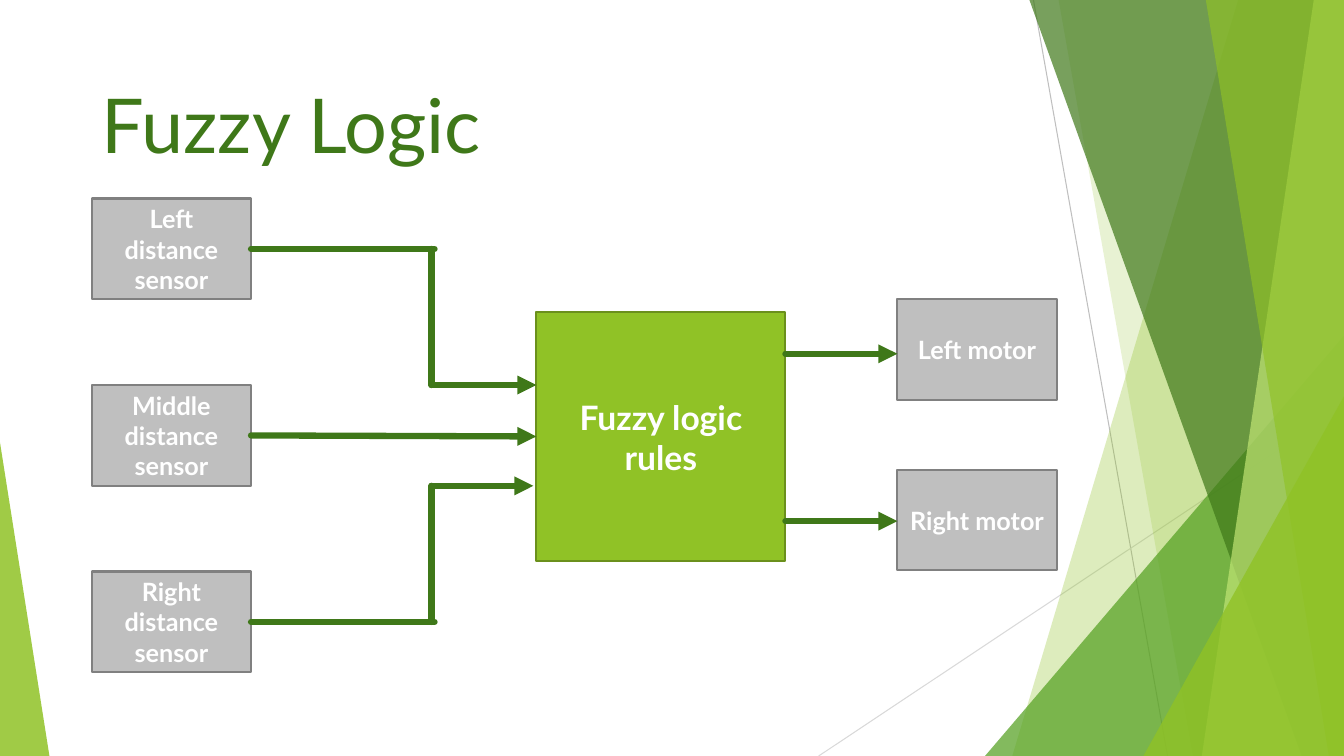
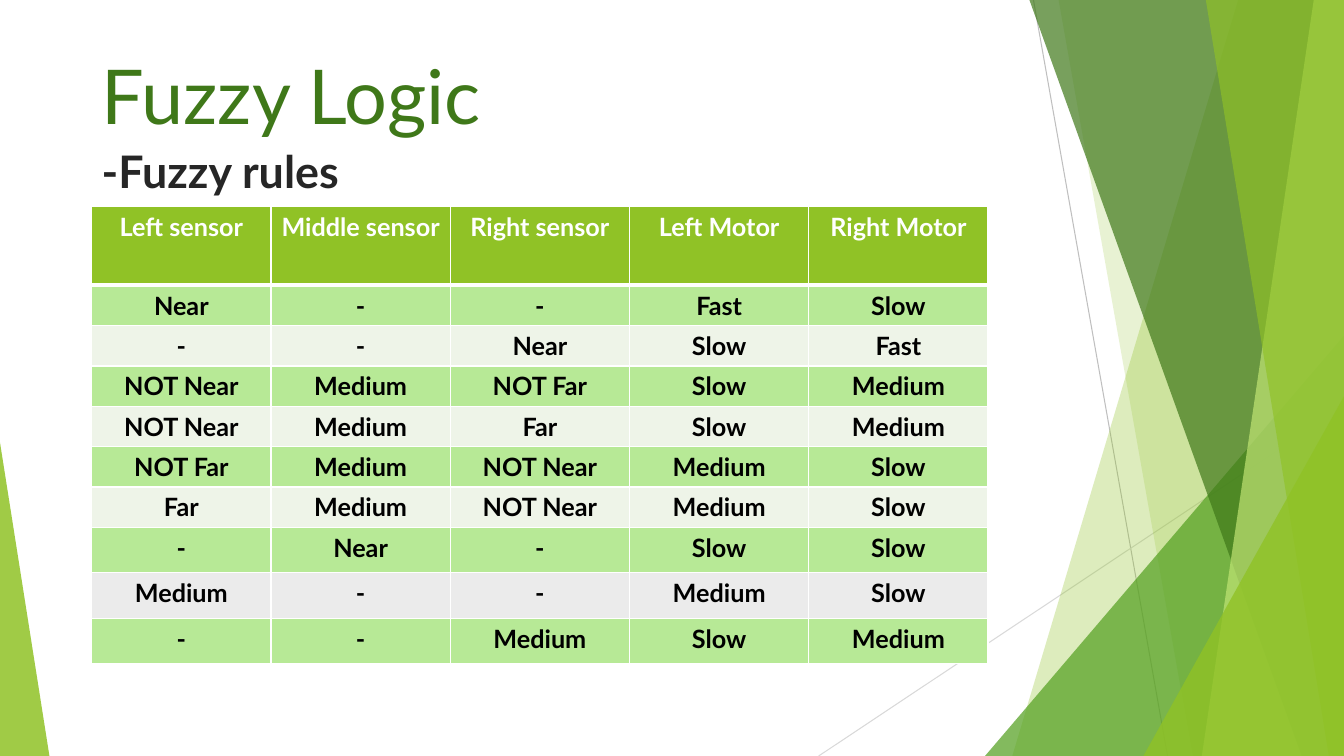
from lxml import etree
from pptx import Presentation
from pptx.dml.color import RGBColor
from pptx.enum.shapes import MSO_CONNECTOR, MSO_SHAPE
from pptx.enum.text import MSO_ANCHOR, PP_ALIGN
from pptx.oxml.ns import qn
from pptx.util import Inches, Pt

STRAIGHT = MSO_CONNECTOR.STRAIGHT
RECTANGLE, TRIANGLE = MSO_SHAPE.RECTANGLE, MSO_SHAPE.ISOSCELES_TRIANGLE
LEFT, CENTER = PP_ALIGN.LEFT, PP_ALIGN.CENTER
MIDDLE = MSO_ANCHOR.MIDDLE

FONT = "Lato"
LIME, GREEN, DARK_GREEN, PALE_LIME = "90C226", "54A021", "3F7819", "C0E474"
WHITE, BLACK, INK, SILVER, GRAY = "FFFFFF", "000000", "262626", "BFBFBF", "808080"
WIDTH, HEIGHT = 13.33, 7.5
MARGIN = 0.91


def paint(fill, color):
    fill.solid()
    fill.fore_color.rgb = RGBColor.from_string(color)


def write(frame, text, size, color, bold=False, align=LEFT):
    frame.word_wrap = True
    frame.text = text
    paragraph = frame.paragraphs[0]
    paragraph.alignment = align
    paragraph.font.name = FONT
    paragraph.font.size = Pt(size)
    paragraph.font.bold = bold
    paint(paragraph.font.fill, color)


prs = Presentation()
prs.slide_width, prs.slide_height = Inches(WIDTH), Inches(HEIGHT)
blank = prs.slide_layouts[6]
for placeholder in list(blank.placeholders):
    blank.shapes.element.remove(placeholder.element)
diagram = prs.slides.add_slide(blank)
rules = prs.slides.add_slide(blank)

headings = [
    (diagram, 0.72, 9.4, 1.44, "Fuzzy Logic", 54, DARK_GREEN, False),
    (rules, 0.44, 9.4, 1.44, "Fuzzy Logic", 54, DARK_GREEN, False),
    (rules, 1.38, 6.57, 0.84, "-Fuzzy rules", 32, INK, True),
]
for slide, top, width, height, text, size, color, bold in headings:
    heading = slide.shapes.add_textbox(
        Inches(MARGIN), Inches(top), Inches(width), Inches(height))
    write(heading.text_frame, text, size, color, bold)

NODE_WIDTH, NODE_HEIGHT = 1.58, 1
CORE_LEFT, CORE_TOP, CORE_SIDE = 5.32, 3.1, 2.47
MOTOR_LEFT, MOTOR_TOP, MOTOR_PITCH = 8.9, 2.97, 1.69
SENSOR_TOP, SENSOR_PITCH = 1.97, 1.85

nodes = [(CORE_LEFT, CORE_TOP, CORE_SIDE, CORE_SIDE, "Fuzzy logic rules", 24, LIME, "6B901C")]
for left, top, pitch, part, sides in [
    (MARGIN, SENSOR_TOP, SENSOR_PITCH, "distance sensor", ["Left", "Middle", "Right"]),
    (MOTOR_LEFT, MOTOR_TOP, MOTOR_PITCH, "motor", ["Left", "Right"]),
]:
    for row, side in enumerate(sides):
        nodes.append((left, top + row * pitch, NODE_WIDTH, NODE_HEIGHT,
                      f"{side} {part}", 18, SILVER, GRAY))

for left, top, width, height, text, size, color, outline in nodes:
    node = diagram.shapes.add_shape(
        RECTANGLE, Inches(left), Inches(top), Inches(width), Inches(height))
    node.shadow.inherit = False
    paint(node.fill, color)
    paint(node.line.fill, outline)
    node.line.width = Pt(1.5)
    node.text_frame.vertical_anchor = MIDDLE
    write(node.text_frame, text, size, WHITE, True, CENTER)

sensor_right = MARGIN + NODE_WIDTH
core_right = CORE_LEFT + CORE_SIDE
left_y, middle_y, right_y = [SENSOR_TOP + NODE_HEIGHT / 2 + row * SENSOR_PITCH for row in range(3)]
BEND, BEND_END = 4.28, 4.31
UPPER_INPUT, LOWER_INPUT = 3.82, 4.82

backdrop_lines = [
    (10.25, 0, 11.58, HEIGHT, SILVER, 0.75, False),
    (WIDTH, 4.03, 8.12, HEIGHT, "D9D9D9", 0.75, False),
]
wires = [(*ends, DARK_GREEN, 4.5, arrow) for *ends, arrow in [
    (sensor_right, left_y, BEND_END, left_y, False),
    (BEND, left_y, BEND, UPPER_INPUT, False),
    (BEND, UPPER_INPUT, CORE_LEFT, UPPER_INPUT, True),
    (sensor_right, middle_y, CORE_LEFT, 4.33, True),
    (sensor_right, right_y, BEND_END, right_y, False),
    (BEND, right_y, BEND, LOWER_INPUT, False),
    (BEND, LOWER_INPUT, 5.29, LOWER_INPUT, True),
    (core_right, 3.51, MOTOR_LEFT, 3.51, True),
    (core_right, 5.17, MOTOR_LEFT, 5.17, True),
]]
connectors = []
for x1, y1, x2, y2, color, weight, arrow in backdrop_lines + wires:
    connector = diagram.shapes.add_connector(
        STRAIGHT, Inches(x1), Inches(y1), Inches(x2), Inches(y2))
    paint(connector.line.fill, color)
    connector.line.width = Pt(weight)
    outline = connector.line.fill and connector.element.spPr.find(qn("a:ln"))
    outline.set("cap", "rnd")
    if arrow:
        etree.SubElement(outline, qn("a:tailEnd"), type="triangle")
    etree.SubElement(connector.element.spPr, qn("a:effectLst"))
    connectors.append(connector)

shards = [
    (12.28, 0, 10.04, LIME, 30),
    (10.5, 0, 11.83, LIME, 20),
    (WIDTH, 3.33, 9.77, GREEN, 72),
    (10.21, 0, 12.91, DARK_GREEN, 70),
    (13.03, 0, 11.92, PALE_LIME, 70),
    (11.96, 0, 13.18, LIME, 65),
    (WIDTH, 3.93, 11.34, LIME, 80),
    (0, 4.39, 0.49, LIME, 85),
]
backdrop = connectors[:len(backdrop_lines)]
for top_x, top_y, bottom_x, color, opacity in shards:
    if top_y == 0:
        outline = diagram.shapes.build_freeform(Inches(top_x), 0)
        outline.add_line_segments([
            (Inches(WIDTH), 0), (Inches(WIDTH), Inches(HEIGHT)), (Inches(bottom_x), Inches(HEIGHT))])
        shard = outline.convert_to_shape()
    else:
        shard = diagram.shapes.add_shape(
            TRIANGLE, Inches(min(top_x, bottom_x)), Inches(top_y),
            Inches(abs(top_x - bottom_x)), Inches(HEIGHT - top_y))
        shard.adjustments[0] = top_x / WIDTH
    shard.shadow.inherit = False
    shard.line.fill.background()
    paint(shard.fill, color)
    tint = shard.element.spPr.find(qn("a:solidFill")).find(qn("a:srgbClr"))
    etree.SubElement(tint, qn("a:alpha"), val=str(opacity * 1000))
    backdrop.append(shard)

for piece in backdrop:
    blank.shapes.element.append(piece.element)

MINT, MIST, ASH = "B7E996", "EEF4E8", "EBEBEB"
rule_rows = [
    (0.78, LIME, ["Left sensor", "Middle sensor", "Right sensor", "Left Motor", "Right Motor"]),
    (0.4, MINT, ["Near", "-", "-", "Fast", "Slow"]),
    (0.4, MIST, ["-", "-", "Near", "Slow", "Fast"]),
    (0.4, MINT, ["NOT Near", "Medium", "NOT Far", "Slow", "Medium"]),
    (0.4, MIST, ["NOT Near", "Medium", "Far", "Slow", "Medium"]),
    (0.4, MINT, ["NOT Far", "Medium", "NOT Near", "Medium", "Slow"]),
    (0.4, MIST, ["Far", "Medium", "NOT Near", "Medium", "Slow"]),
    (0.45, MINT, ["-", "Near", "-", "Slow", "Slow"]),
    (0.45, ASH, ["Medium", "-", "-", "Medium", "Slow"]),
    (0.45, MINT, ["-", "-", "Medium", "Slow", "Medium"]),
]
rule_table = rules.shapes.add_table(
    len(rule_rows), 5, Inches(MARGIN), Inches(2.05), Inches(8.89), Inches(4.53)).table
rule_table.horz_banding = False
for row, (height, color, texts) in enumerate(rule_rows):
    rule_table.rows[row].height = Inches(height)
    for column, text in enumerate(texts):
        cell = rule_table.cell(row, column)
        write(cell.text_frame, text, 18, BLACK if row else WHITE, True, CENTER)
        borders = cell._tc.get_or_add_tcPr()
        for edge in ("L", "R", "T", "B"):
            weight = 3 if (row, edge) in [(0, "B"), (1, "T")] else 1
            border = etree.SubElement(borders, qn(f"a:ln{edge}"), w=str(Pt(weight)))
            stroke = etree.SubElement(border, qn("a:solidFill"))
            etree.SubElement(stroke, qn("a:srgbClr"), val=WHITE)
        paint(cell.fill, color)

prs.save("out.pptx")
